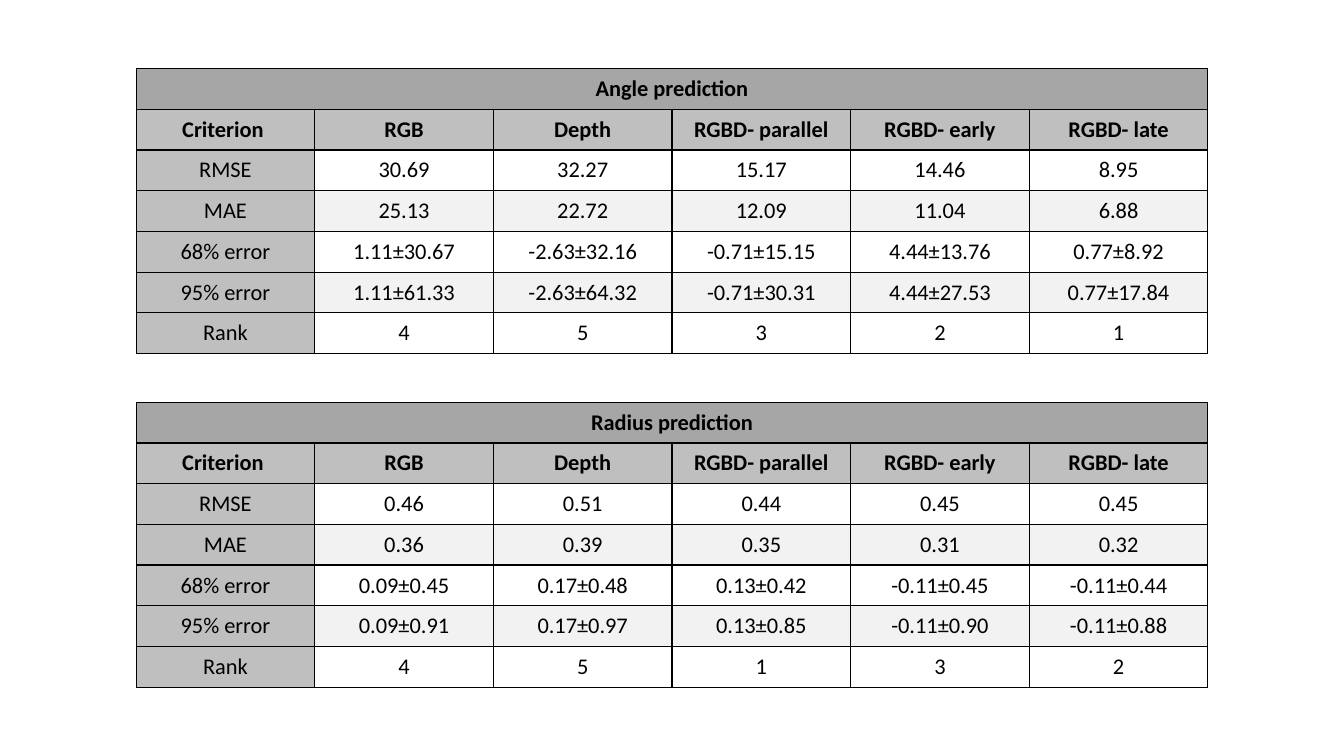
"""Build a slide with two tables comparing angle and radius prediction errors."""
from lxml import etree
from pptx import Presentation
from pptx.dml.color import RGBColor
from pptx.enum.text import MSO_ANCHOR, PP_ALIGN
from pptx.oxml.ns import qn
from pptx.util import Inches, Pt

MIDDLE = MSO_ANCHOR.MIDDLE
CENTER = PP_ALIGN.CENTER

COLORS = {
    "title": "A6A6A6",
    "header": "BFBFBF",
    "plain": "FFFFFF",
    "band": "F2F2F2",
    "ink": "000000",
}
TABLE_LEFT, TABLE_WIDTH, TABLE_HEIGHT = 1.35, 10.63, 2.83
HEADINGS = ["Criterion ", "RGB", "Depth", "RGBD- parallel", "RGBD- early", "RGBD- late"]
PREDICTIONS = [
    ("Angle prediction", 0.68, [
        ["RMSE", "30.69", "32.27", "15.17", "14.46", "8.95"],
        ["MAE", "25.13", "22.72", "12.09", "11.04", "6.88"],
        ["68% error", "1.11±30.67", "-2.63±32.16", "-0.71±15.15", "4.44±13.76", "0.77±8.92"],
        ["95% error", "1.11±61.33", "-2.63±64.32", "-0.71±30.31", "4.44±27.53", "0.77±17.84"],
        ["Rank", "4", "5", "3", "2", "1"],
    ]),
    ("Radius prediction", 3.99, [
        ["RMSE", "0.46", "0.51", "0.44", "0.45", "0.45"],
        ["MAE", "0.36", "0.39", "0.35", "0.31", "0.32"],
        ["68% error", "0.09±0.45", "0.17±0.48", "0.13±0.42", "-0.11±0.45", "-0.11±0.44"],
        ["95% error", "0.09±0.91", "0.17±0.97", "0.13±0.85", "-0.11±0.90", "-0.11±0.88"],
        ["Rank", "4", "5", "1", "3", "2"],
    ]),
]
TITLE_MARGINS = {
    "margin_left": Inches(0.11), "margin_right": Inches(0.11),
    "margin_top": Inches(0.06), "margin_bottom": Inches(0.06),
}


def add_borders(cell):
    """Draw a thin line on all four sides of a cell."""
    properties = cell._tc.get_or_add_tcPr()
    for position, side in enumerate(["a:lnL", "a:lnR", "a:lnT", "a:lnB"]):
        line = etree.Element(qn(side), w=str(Pt(1)))
        fill = etree.SubElement(line, qn("a:solidFill"))
        etree.SubElement(fill, qn("a:srgbClr"), val=COLORS["ink"])
        properties.insert(position, line)


def fill_name(row, column):
    """Choose the colour name for a cell from its place in the table."""
    if row == 0:
        return "title"
    if row == 1 or column == 0:
        return "header"
    return "band" if row % 2 else "plain"


prs = Presentation()
prs.slide_width, prs.slide_height = Inches(13.33), Inches(7.5)
slide = prs.slides.add_slide(prs.slide_layouts[6])

for title, top, results in PREDICTIONS:
    rows = [[title] + [""] * (len(HEADINGS) - 1), HEADINGS] + results
    prediction = slide.shapes.add_table(
        len(rows), len(HEADINGS), Inches(TABLE_LEFT), Inches(top),
        Inches(TABLE_WIDTH), Inches(TABLE_HEIGHT),
    ).table
    prediction.cell(0, 0).merge(prediction.cell(0, len(HEADINGS) - 1))

    for row, values in enumerate(rows):
        for column, value in enumerate(values):
            cell = prediction.cell(row, column)
            cell.fill.solid()
            cell.fill.fore_color.rgb = RGBColor.from_string(COLORS[fill_name(row, column)])
            add_borders(cell)
            cell.vertical_anchor = MIDDLE
            if row == 0:
                for margin, size in TITLE_MARGINS.items():
                    setattr(cell, margin, size)
            if cell.is_spanned:
                continue
            paragraph = cell.text_frame.paragraphs[0]
            paragraph.alignment = CENTER
            run = paragraph.add_run()
            run.text = value
            text_format = {"name": "Calibri", "size": Pt(16), "bold": row < 2}
            for attribute, setting in text_format.items():
                setattr(run.font, attribute, setting)
            run.font.color.rgb = RGBColor.from_string(COLORS["ink"])

prs.save("out.pptx")
